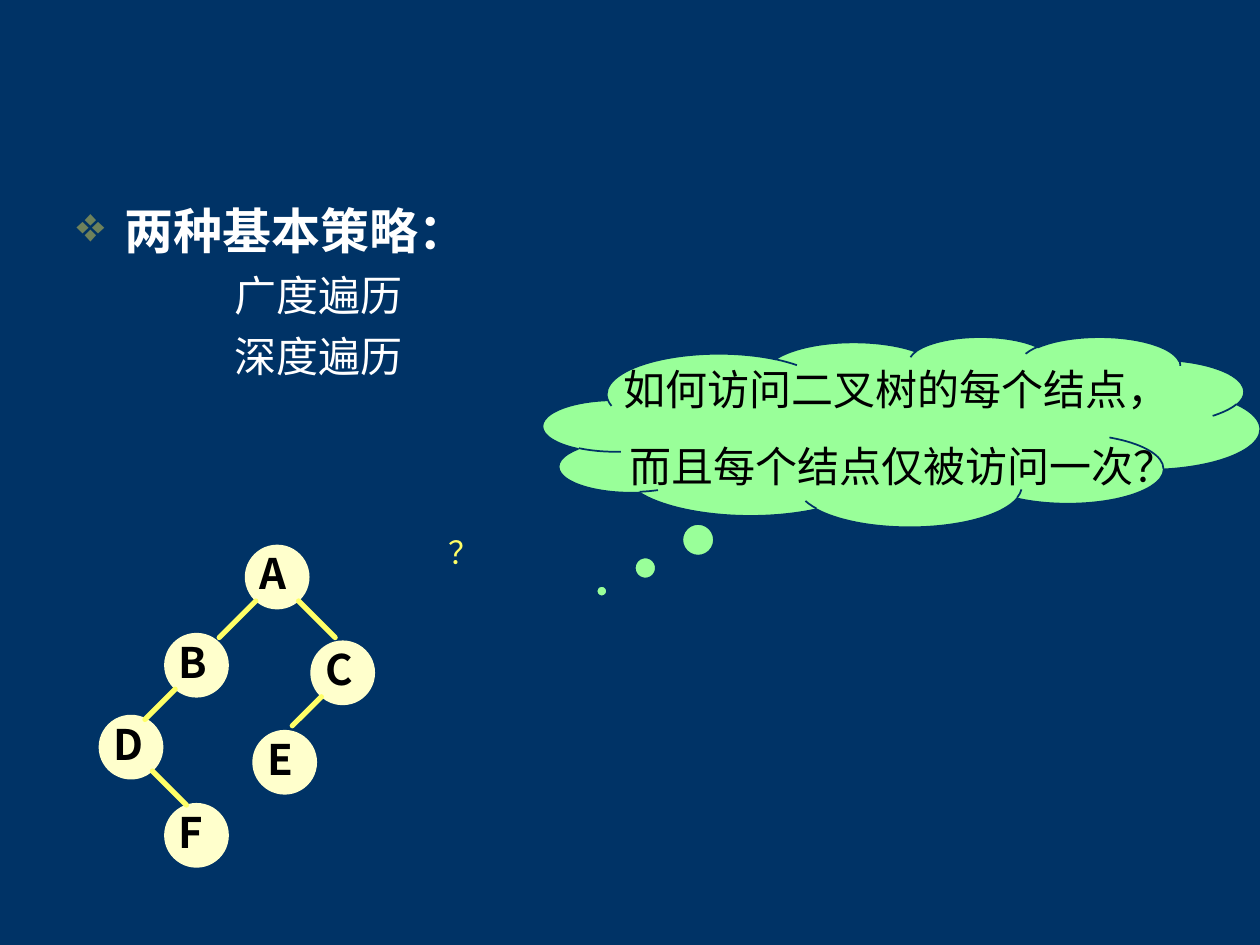
from lxml import etree
from pptx import Presentation
from pptx.dml.color import RGBColor
from pptx.enum.shapes import MSO_CONNECTOR, MSO_SHAPE
from pptx.enum.text import MSO_ANCHOR, PP_ALIGN
from pptx.oxml.ns import qn
from pptx.util import Inches, Pt

OVAL, CLOUD = MSO_SHAPE.OVAL, MSO_SHAPE.CLOUD_CALLOUT
STRAIGHT = MSO_CONNECTOR.STRAIGHT
CENTER, LEFT, MIDDLE = PP_ALIGN.CENTER, PP_ALIGN.LEFT, MSO_ANCHOR.MIDDLE

# Content
NAVY, WHITE, BLACK = "003366", "FFFFFF", "000000"
GREEN, CREAM, YELLOW, OLIVE = "99FF99", "FFFFCC", "FFFF66", "6E815B"
CJK = "Noto Sans CJK SC"

HEADING = "两种基本策略："
STRATEGIES = ["广度遍历", "深度遍历"]
QUESTION = [("如何访问二叉树的每个结点，", 0.33), ("而且每个结点仅被访问一次？", 0.42)]
NODES = {"A": (1.95, 4.33), "B": (1.31, 5.03), "C": (2.47, 5.09),
         "D": (0.79, 5.68), "E": (2.01, 5.8), "F": (1.31, 6.38)}
# Parent, direction (-1 left, 1 right), horizontal run of the 45 degree branch
BRANCHES = [("A", -1, 0.29), ("A", 1, 0.29), ("B", -1, 0.24),
            ("C", -1, 0.23), ("D", 1, 0.27)]
NODE_SIZE = 0.5


def color(value):
    return RGBColor.from_string(value)


def add_text(frame, text, size=24, font=CJK, ink=BLACK, bold=False,
             align=LEFT, before=0, indent=0, hanging=0, bullet=None):
    first = not frame.paragraphs[0].runs
    para = frame.paragraphs[0] if first else frame.add_paragraph()
    para.alignment = align
    para.space_before = Pt(0 if first else before)
    properties = para._p.get_or_add_pPr()
    properties.set("marL", str(Inches(indent)))
    properties.set("indent", str(-Inches(hanging)))
    if bullet:
        bullet_color = etree.SubElement(properties, qn("a:buClr"))
        etree.SubElement(bullet_color, qn("a:srgbClr"), val=OLIVE)
        etree.SubElement(properties, qn("a:buChar"), char=bullet)
    span = para.add_run()
    span.text = text
    span.font.size, span.font.bold, span.font.name = Pt(size), bold, font
    span.font.color.rgb = color(ink)
    etree.SubElement(span._r.get_or_add_rPr(), qn("a:ea"), typeface=CJK)


def add_box(page, left, top, width, height, wrap=True):
    box = page.shapes.add_textbox(*map(Inches, (left, top, width, height)))
    box.text_frame.word_wrap = wrap
    return box.text_frame


def add_filled(page, kind, left, top, width, height, fill, line):
    shape = page.shapes.add_shape(kind, *map(Inches, (left, top, width, height)))
    shape.shadow.inherit = False
    shape.fill.solid()
    shape.fill.fore_color.rgb = color(fill)
    shape.line.color.rgb = color(line)
    shape.line.width = Pt(1)
    return shape


def add_branch(page, parent, side, run):
    left, top = NODES[parent]
    x = left + NODE_SIZE / 2 + side * 0.17
    y = top + 0.44
    branch = page.shapes.add_connector(
        STRAIGHT, *map(Inches, (x, y, x + side * run, y + run)))
    branch.line.color.rgb = color(YELLOW)
    branch.line.width = Pt(3)
    branch.line._get_or_add_ln().set("cap", "rnd")
    etree.SubElement(branch._element.spPr, qn("a:effectLst"))


def main():
    deck = Presentation()
    deck.slide_width, deck.slide_height = Inches(10), Inches(7.5)
    page = deck.slides.add_slide(deck.slide_layouts[6])
    page.background.fill.solid()
    page.background.fill.fore_color.rgb = color(NAVY)

    # Strategies
    body = add_box(page, 0.51, 1.54, 9, 5.25)
    add_text(body, HEADING, size=28, font="DejaVu Sans", ink=WHITE, bold=True,
             indent=0.38, hanging=0.38, bullet="❖")
    for strategy in STRATEGIES:
        add_text(body, strategy, font="Arial", ink=WHITE, before=6, indent=1.25)

    # Thought cloud and question mark
    cloud = add_filled(page, CLOUD, 4.31, 2.67, 5.69, 1.51, GREEN, NAVY)
    cloud.adjustments[0], cloud.adjustments[1] = -0.418, 0.839
    cloud.text_frame.word_wrap = False
    cloud.text_frame.vertical_anchor = MIDDLE
    for text, indent in QUESTION:
        add_text(cloud.text_frame, text, font="Times New Roman",
                 align=CENTER, before=15, indent=indent)
    add_text(add_box(page, 3.46, 4.18, 1.45, 0.66, wrap=False), "？",
             size=18, ink=YELLOW)

    # Binary tree
    for letter, (left, top) in NODES.items():
        add_filled(page, OVAL, left, top, NODE_SIZE, NODE_SIZE, CREAM, CREAM)
        label = add_box(page, left - 0.04, top - 0.03, 0.7, 0.5)
        label.margin_left = Inches(0.15)
        add_text(label, letter, bold=True)
    for parent, side, run in BRANCHES:
        add_branch(page, parent, side, run)

    deck.save("out.pptx")


if __name__ == "__main__":
    main()
